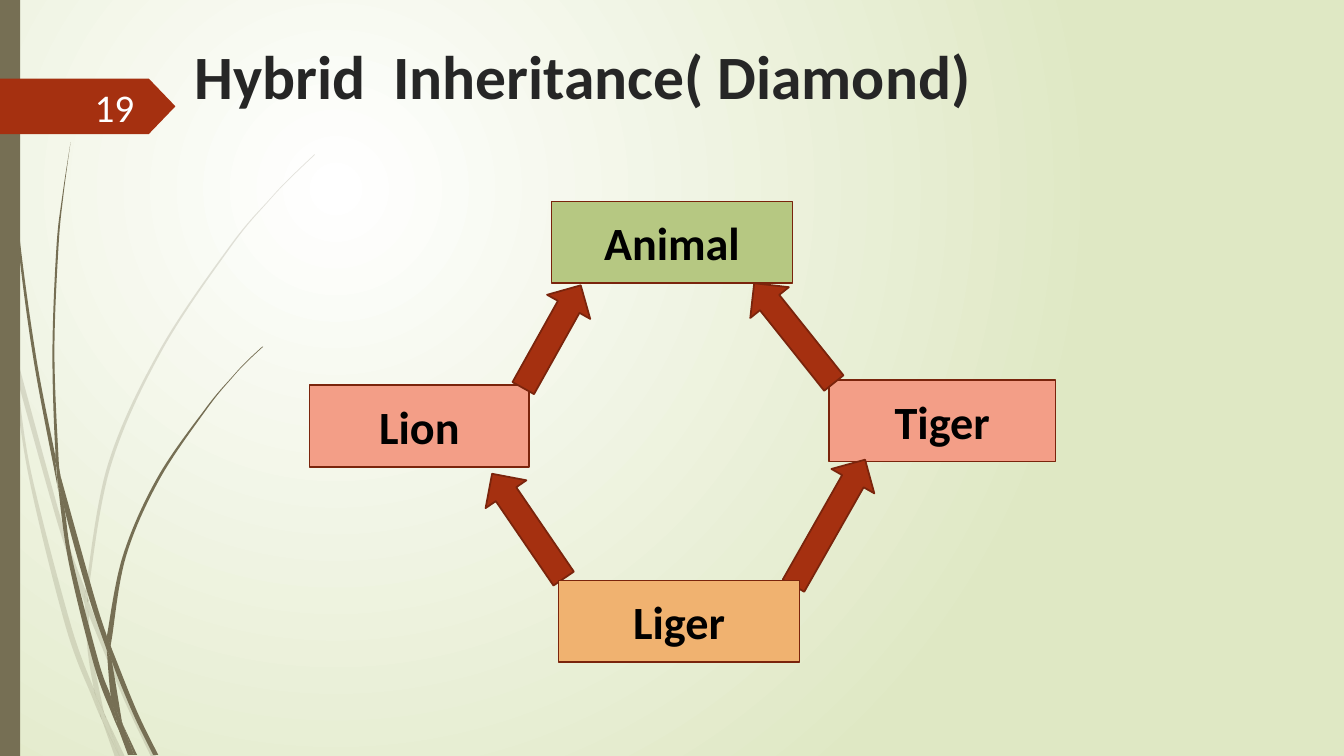
"""Build the hybrid inheritance slide with its diamond of animal classes."""
from math import atan2, degrees, hypot

from lxml import etree
from pptx import Presentation
from pptx.dml.color import RGBColor
from pptx.enum.shapes import MSO_SHAPE
from pptx.enum.text import MSO_ANCHOR, PP_ALIGN
from pptx.oxml.ns import qn
from pptx.util import Inches, Pt

RECTANGLE, TAG, ARROW = MSO_SHAPE.RECTANGLE, MSO_SHAPE.PENTAGON, MSO_SHAPE.DOWN_ARROW
TOP, MIDDLE = MSO_ANCHOR.TOP, MSO_ANCHOR.MIDDLE
LEFT, CENTER, RIGHT = PP_ALIGN.LEFT, PP_ALIGN.CENTER, PP_ALIGN.RIGHT

WHITE = RGBColor(0xFF, 0xFF, 0xFF)
BLACK = RGBColor(0x00, 0x00, 0x00)
CHARCOAL = RGBColor(0x26, 0x26, 0x26)
PALE_GREEN = RGBColor(0xDF, 0xE8, 0xC4)
OLIVE = RGBColor(0x76, 0x6F, 0x54)
RUST = RGBColor(0xA5, 0x30, 0x10)
DARK_RUST = RGBColor(0x7A, 0x24, 0x0C)
SALMON = RGBColor(0xF3, 0x9E, 0x87)
GREEN = RGBColor(0xB6, 0xC8, 0x82)
ORANGE = RGBColor(0xF0, 0xB2, 0x70)

FONT = "Calibri"
COLUMNS, ROWS = 13.33, 7.5
ROW_HEIGHT = 0.81
ARROW_WIDTH = 0.49

TITLE = ("Hybrid  Inheritance( Diamond)", (1.83, 0.33, 8.03, 0.84))
PAGE_NUMBER = ("19", (0.58, 0.86, 0.85, 0.4))
SIDE_BAR = (0, 0, 0.2, ROWS)
NUMBER_TAG = (0, 0.78, 1.74, 0.55)

PARENTS = [
    ("Lion", 3.07, 3.82, 2.18, SALMON),
    ("Tiger", 8.22, 3.77, 2.25, SALMON),
    ("Animal", 5.47, 2.0, 2.39, GREEN),
]
CHILD = ("Liger", 5.54, 5.76, 2.39, ORANGE)

ARROWS = [
    ((7.87, 5.81), (8.58, 4.56)),
    ((5.19, 3.85), (5.76, 2.83)),
    ((5.59, 5.74), (4.88, 4.70)),
    ((8.27, 3.80), (7.48, 2.81)),
]

# Each blade of grass is a pair of edges, down one side and back up the other.
FADED_BLADES = [
    ([(0.11, 3.5), (0.09, 3.22), (0, 2.82)], [(0, 2.99), (0.1, 3.44), (0.11, 3.5)]),
    ([(0.14, 3.45), (0.62, 5.2), (0.85, 5.86)], [(0.84, 5.99), (0.58, 5.22), (0.17, 3.76)]),
    ([(0.88, 5.96), (0.92, 6.07), (1.27, 6.92), (1.55, 7.51)],
     [(1.5, 7.51), (1.23, 6.94), (0.88, 6.1)]),
    ([(1.05, 7.11), (1.24, 7.51)], [(1.19, 7.51), (1.05, 7.11)]),
    ([(0.11, 3.5), (0.17, 3.76), (0.31, 4.69), (0.7, 6.19), (0.93, 6.83)],
     [(0.99, 7.07), (1.01, 7.14), (0.92, 6.93), (0.65, 6.21), (0.28, 4.7), (0.11, 3.5)]),
    ([(0.84, 5.99), (0.87, 6.46), (0.93, 6.83), (0.96, 6.92), (1.05, 7.11)],
     [(1.05, 7.11), (1.03, 7.06), (0.91, 6.46), (0.88, 6.1), (0.88, 6.08)]),
    ([(3.12, 1.53), (2.89, 1.75), (2.68, 1.97), (2.28, 2.44), (1.58, 3.48), (1.07, 4.61),
      (0.85, 5.84), (0.85, 5.86)],
     [(0.88, 5.96), (0.88, 5.84), (1.1, 4.62), (1.6, 3.49), (2.29, 2.45), (2.68, 1.98),
      (2.9, 1.75), (3.12, 1.54)]),
    ([(1.01, 7.14), (1.14, 7.51)], [(1.19, 7.51), (1.01, 7.14)]),
    ([(0.88, 6.08), (0.88, 6.1), (0.88, 5.96)], [(0.85, 5.86), (0.84, 5.99)]),
    ([(0.93, 6.83), (0.99, 7.07), (1.01, 7.14), (1.19, 7.51)],
     [(1.19, 7.51), (1.05, 7.11), (0.96, 6.92), (0.93, 6.83)]),
]
SOLID_BLADES = [
    ([(0.03, 0), (0.04, 0.48), (0.07, 1.1), (0.17, 2.33), (0.33, 3.55), (0.56, 4.77),
      (0.57, 4.81)],
     [(0.55, 4.57), (0.55, 4.53), (0.36, 3.55), (0.19, 2.32), (0.08, 1.09), (0.05, 0.48),
      (0.04, 0)]),
    ([(0.6, 4.72), (0.93, 5.9), (1.06, 6.31), (1.06, 6.33)],
     [(1.06, 6.45), (0.88, 5.92), (0.64, 5.05), (0.6, 4.72)]),
    ([(1.1, 6.41), (1.13, 6.49), (1.36, 7.06), (1.57, 7.49)],
     [(1.52, 7.49), (1.32, 7.08), (1.11, 6.56), (1.1, 6.41)]),
    ([(0.57, 4.77), (0.64, 5.05), (0.72, 5.56), (0.98, 6.57), (1.1, 6.91), (1.16, 7.17)],
     [(1.17, 7.22), (1.11, 7.08), (0.93, 6.59), (0.68, 5.57), (0.57, 4.77)]),
    ([(0.7, 1.41), (0.62, 1.93), (0.56, 2.45), (0.52, 3.49), (0.55, 4.49), (0.6, 4.72)],
     [(0.6, 4.72), (0.58, 4.53), (0.54, 3.49), (0.58, 2.45), (0.63, 1.93), (0.7, 1.41)]),
    ([(1.22, 7.19), (1.36, 7.49)], [(1.33, 7.49), (1.22, 7.19)]),
    ([(0.55, 4.49), (0.6, 4.72), (0.64, 5.05)], [(0.57, 4.77), (0.55, 4.53), (0.55, 4.49)]),
    ([(2.6, 3.44), (2.45, 3.58), (2.31, 3.73), (2.04, 4.05), (1.56, 4.74), (1.22, 5.51),
      (1.06, 6.31)],
     [(1.1, 6.41), (1.11, 6.33), (1.25, 5.52), (1.58, 4.76), (2.05, 4.06), (2.31, 3.74),
      (2.45, 3.59), (2.61, 3.44)]),
    ([(1.17, 7.22), (1.27, 7.49)], [(1.31, 7.49), (1.17, 7.22)]),
    ([(1.06, 6.45), (1.1, 6.91), (1.16, 7.06), (1.22, 7.19)],
     [(1.21, 7.16), (1.11, 6.56), (1.09, 6.51), (1.06, 6.45)]),
    ([(1.06, 6.45), (1.09, 6.51), (1.11, 6.56)], [(1.1, 6.41), (1.06, 6.31), (1.06, 6.45)]),
    ([(1.1, 6.91), (1.16, 7.17), (1.17, 7.22), (1.3, 7.49)],
     [(1.33, 7.49), (1.22, 7.19), (1.16, 7.06), (1.1, 6.91)]),
]


def paint(shape, fill, line=None):
    shape.shadow.inherit = False
    shape.fill.solid()
    shape.fill.fore_color.rgb = fill
    if line is None:
        shape.line.fill.background()
    else:
        shape.line.color.rgb = line
        shape.line.width = Pt(1.25)


def add_block(page, kind, place, fill, line=None):
    block = page.shapes.add_shape(kind, *map(Inches, place))
    paint(block, fill, line)
    return block


def write(box, words, size, color, align, anchor, bold=False):
    frame = box.text_frame
    frame.word_wrap = True
    frame.vertical_anchor = anchor
    frame.text = words
    para = frame.paragraphs[0]
    para.alignment = align
    font = para.runs[0].font
    font.name, font.size, font.bold = FONT, Pt(size), bold
    font.color.rgb = color


def add_class(page, name, left, top, width, fill):
    box = add_block(page, RECTANGLE, (left, top, width, ROW_HEIGHT), fill, DARK_RUST)
    write(box, name, 33, BLACK, CENTER, MIDDLE, bold=True)


def add_arrow(page, tail, head):
    across, down = head[0] - tail[0], head[1] - tail[1]
    length = hypot(across, down)
    left = (tail[0] + head[0] - ARROW_WIDTH) / 2
    top = (tail[1] + head[1] - length) / 2
    arrow = add_block(page, ARROW, (left, top, ARROW_WIDTH, length), RUST, DARK_RUST)
    arrow.rotation = degrees(atan2(-across, down))


def bend(edge):
    padded = [edge[0], *edge, edge[-1]]
    for before, start, end, after in zip(padded, padded[1:], padded[2:], padded[3:]):
        yield (tuple(b + (c - a) / 6 for a, b, c in zip(before, start, end)),
               tuple(c - (d - b) / 6 for b, c, d in zip(start, end, after)), end)


def add_blade(page, edges, opacity):
    edges = [[(Inches(x), Inches(y)) for x, y in edge] for edge in edges]
    outline = edges[0] + edges[1]
    builder = page.shapes.build_freeform(*outline[0], scale=1)
    builder.add_line_segments(outline[1:], close=True)
    blade = builder.convert_to_shape()
    paint(blade, OLIVE)
    lines = list(blade._element.iter(qn("a:lnTo")))
    join = len(edges[0]) - 1
    for line, curve in zip(lines[:join] + lines[join + 1:], [*bend(edges[0]), *bend(edges[1])]):
        segment = etree.Element(qn("a:cubicBezTo"))
        for x, y in curve:
            etree.SubElement(segment, qn("a:pt"), x=str(round(x - blade.left)),
                             y=str(round(y - blade.top)))
        line.getparent().replace(line, segment)
    if opacity < 100:
        color = blade._element.spPr.find(qn("a:solidFill"))[0]
        etree.SubElement(color, qn("a:alpha"), val=str(opacity * 1000))


def paint_background(page):
    fill = page.background.fill
    fill.gradient()
    for stop, color, position in zip(fill.gradient_stops, (WHITE, PALE_GREEN), (0, 1)):
        stop.color.rgb, stop.position = color, position
    gradient = page.background._cSld.find(".//" + qn("a:gradFill"))
    circle = etree.Element(qn("a:path"), {"path": "circle"})
    etree.SubElement(circle, qn("a:fillToRect"), l="50000", t="50000", r="100000", b="100000")
    gradient.replace(gradient.find(qn("a:lin")), circle)


def main():
    deck = Presentation()
    deck.slide_width, deck.slide_height = Inches(COLUMNS), Inches(ROWS)
    page = deck.slides.add_slide(deck.slide_layouts[6])
    paint_background(page)
    for blades, opacity in ((FADED_BLADES, 20), (SOLID_BLADES, 100)):
        for edges in blades:
            add_blade(page, edges, opacity)
    add_block(page, RECTANGLE, SIDE_BAR, OLIVE)
    add_block(page, TAG, NUMBER_TAG, RUST).adjustments[0] = 0.48
    for (words, place), style in ((TITLE, (44, CHARCOAL, LEFT, TOP, True)),
                                  (PAGE_NUMBER, (28, WHITE, RIGHT, MIDDLE))):
        write(page.shapes.add_textbox(*map(Inches, place)), words, *style)
    for parent in PARENTS:
        add_class(page, *parent)
    for tail, head in ARROWS:
        add_arrow(page, tail, head)
    add_class(page, *CHILD)
    deck.save("out.pptx")


if __name__ == "__main__":
    main()
